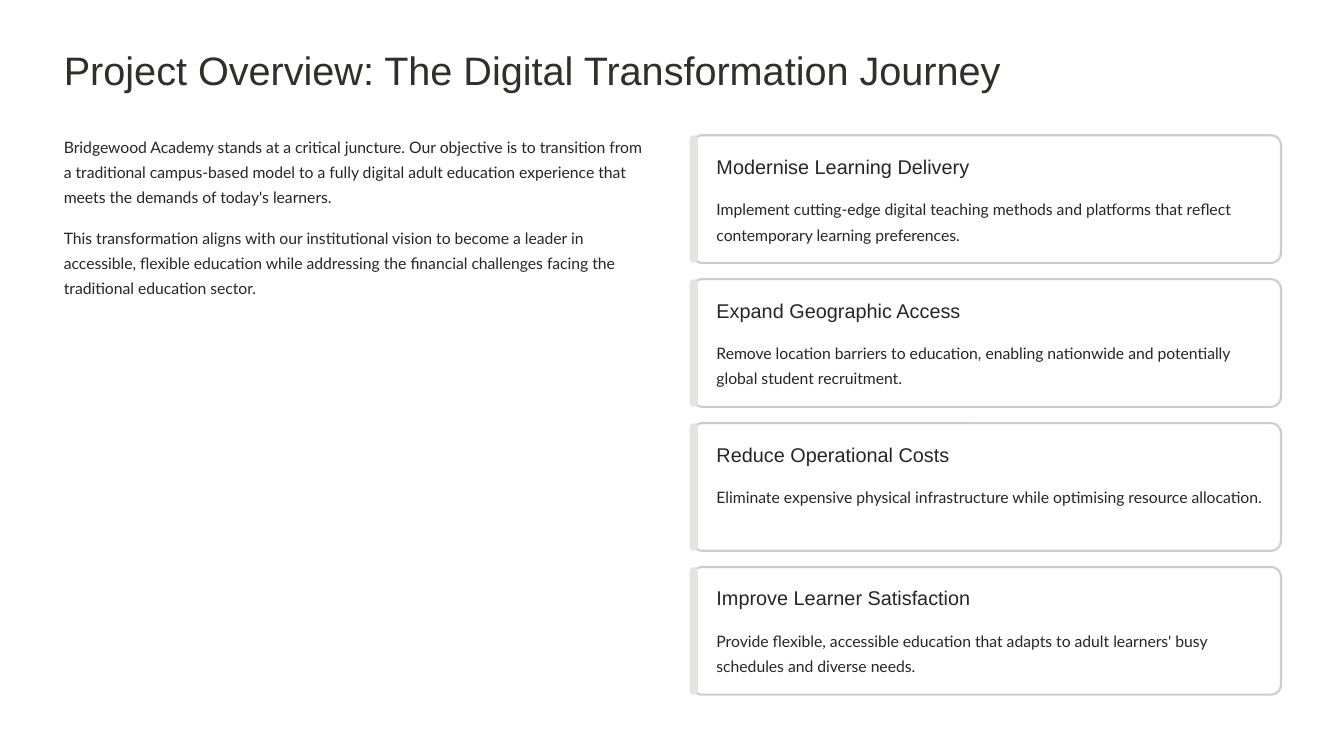
import pptx
import pptx.dml.color
import pptx.enum.shapes
import pptx.oxml
import pptx.oxml.ns
import pptx.util

SLIDE_WIDTH, SLIDE_HEIGHT = 16, 9
MARGIN = 0.76
COLUMN_WIDTH = 7.01
COLUMN_GAP = 0.47
CARD_HEIGHT = 1.52
CARDS_TOP, CARDS_BOTTOM = 1.61, 8.27

COLORS = {
    "background": "FFFFFF",
    "title": "312F2B",
    "text": "272525",
    "border": "CECEC9",
    "accent": "E5E5E0",
}
STYLES = {
    "title": {"font": {"name": "Arial", "size": pptx.util.Pt(34)}, "spacing": 42.5, "color": "title", "wrap": False},
    "heading": {"font": {"name": "Arial", "size": pptx.util.Pt(17)}, "spacing": 21, "color": "text", "wrap": False},
    "body": {"font": {"name": "Lato", "size": pptx.util.Pt(13.5)}, "spacing": 21.5, "color": "text", "wrap": True},
}

TITLE = "Project Overview: The Digital Transformation Journey"
INTRODUCTION = [
    "Bridgewood Academy stands at a critical juncture. Our objective is to transition from a traditional "
    "campus-based model to a fully digital adult education experience that meets the demands of today's learners.",
    "This transformation aligns with our institutional vision to become a leader in accessible, flexible "
    "education while addressing the financial challenges facing the traditional education sector.",
]
GOALS = [
    ("Modernise Learning Delivery",
     "Implement cutting-edge digital teaching methods and platforms that reflect contemporary learning preferences."),
    ("Expand Geographic Access",
     "Remove location barriers to education, enabling nationwide and potentially global student recruitment."),
    ("Reduce Operational Costs",
     "Eliminate expensive physical infrastructure while optimising resource allocation."),
    ("Improve Learner Satisfaction",
     "Provide flexible, accessible education that adapts to adult learners' busy schedules and diverse needs."),
]


def color(name):
    return pptx.dml.color.RGBColor.from_string(COLORS[name])


def inches(*lengths):
    return [pptx.util.Inches(length) for length in lengths]


def set_attributes(target, values):
    for name, value in values.items():
        setattr(target, name, value)


def add_text(slide, box, text, style_name):
    style = STYLES[style_name]
    frame = slide.shapes.add_textbox(*inches(*box)).text_frame
    set_attributes(frame, {"margin_left": 0, "margin_top": 0, "margin_right": 0, "margin_bottom": 0,
                           "word_wrap": style["wrap"]})
    paragraph = frame.paragraphs[0]
    paragraph.line_spacing = pptx.util.Pt(style["spacing"])
    run = paragraph.add_run()
    run.text = text
    set_attributes(run.font, style["font"])
    run.font.color.rgb = color(style["color"])


def add_rounded_box(slide, box, fill, rounding):
    shape = slide.shapes.add_shape(pptx.enum.shapes.MSO_SHAPE.ROUNDED_RECTANGLE, *inches(*box))
    shape.adjustments[0] = rounding
    shape.shadow.inherit = False
    shape.fill.solid()
    shape.fill.fore_color.rgb = color(fill)
    shape.line.fill.background()
    return shape


def set_opacity(shape, percent):
    fill_color = shape.fill._xPr.find(pptx.oxml.ns.qn("a:solidFill"))[0]
    alpha = pptx.oxml.parse_xml(f'<a:alpha {pptx.oxml.ns.nsdecls("a")} val="{percent * 1000}"/>')
    fill_color.append(alpha)


def add_introduction(slide, left, top, width):
    for index, text in enumerate(INTRODUCTION):
        add_text(slide, (left, top + index * 1.08, width, 0.91), text, "body")


def add_goal_card(slide, box, heading, body):
    left, top, width, height = box
    card = add_rounded_box(slide, box, "background", 0.08)
    set_opacity(card, 95)
    card.line.color.rgb = color("border")
    card.line.width = pptx.util.Pt(1.8)
    add_rounded_box(slide, (left - 0.03, top, 0.1, height), "accent", 0.5)
    text_left, text_width = left + 0.29, width - 0.51
    add_text(slide, (text_left, top + 0.22, text_width, 0.3), heading, "heading")
    add_text(slide, (text_left, top + 0.7, text_width, 0.61), body, "body")


def add_goals(slide, left, top, width, height):
    pitch = (height - CARD_HEIGHT) / (len(GOALS) - 1)
    for row, (heading, body) in enumerate(GOALS):
        add_goal_card(slide, (left, top + row * pitch, width, CARD_HEIGHT), heading, body)


def main():
    presentation = pptx.Presentation()
    set_attributes(presentation, {"slide_width": pptx.util.Inches(SLIDE_WIDTH),
                                  "slide_height": pptx.util.Inches(SLIDE_HEIGHT)})
    slide = presentation.slides.add_slide(presentation.slide_layouts[6])
    slide.background.fill.solid()
    slide.background.fill.fore_color.rgb = color("background")
    add_text(slide, (MARGIN, 0.52, 11.41, 0.59), TITLE, "title")
    add_introduction(slide, MARGIN, 1.57, COLUMN_WIDTH)
    add_goals(slide, MARGIN + COLUMN_WIDTH + COLUMN_GAP, CARDS_TOP, COLUMN_WIDTH, CARDS_BOTTOM - CARDS_TOP)
    presentation.save("out.pptx")


if __name__ == "__main__":
    main()
